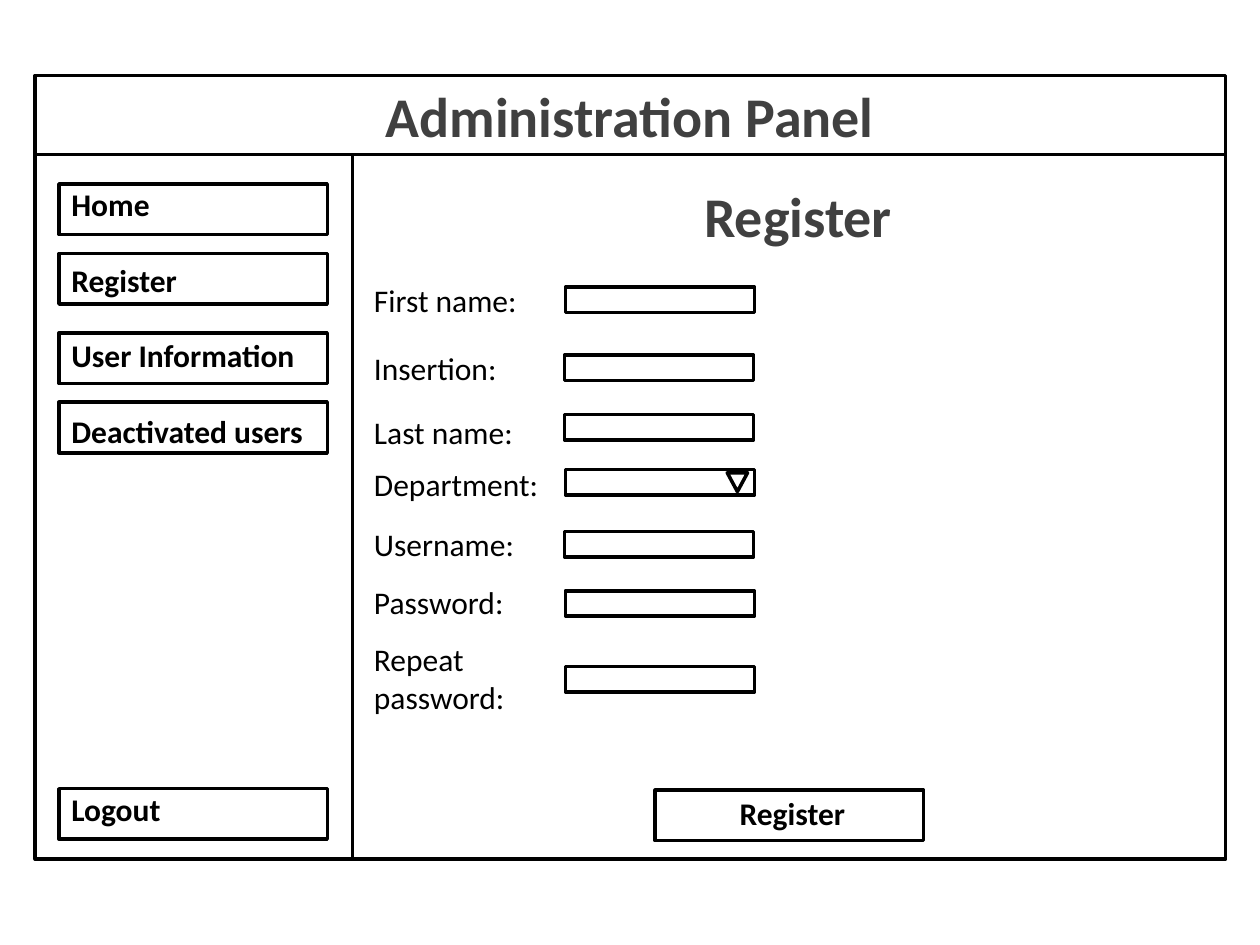
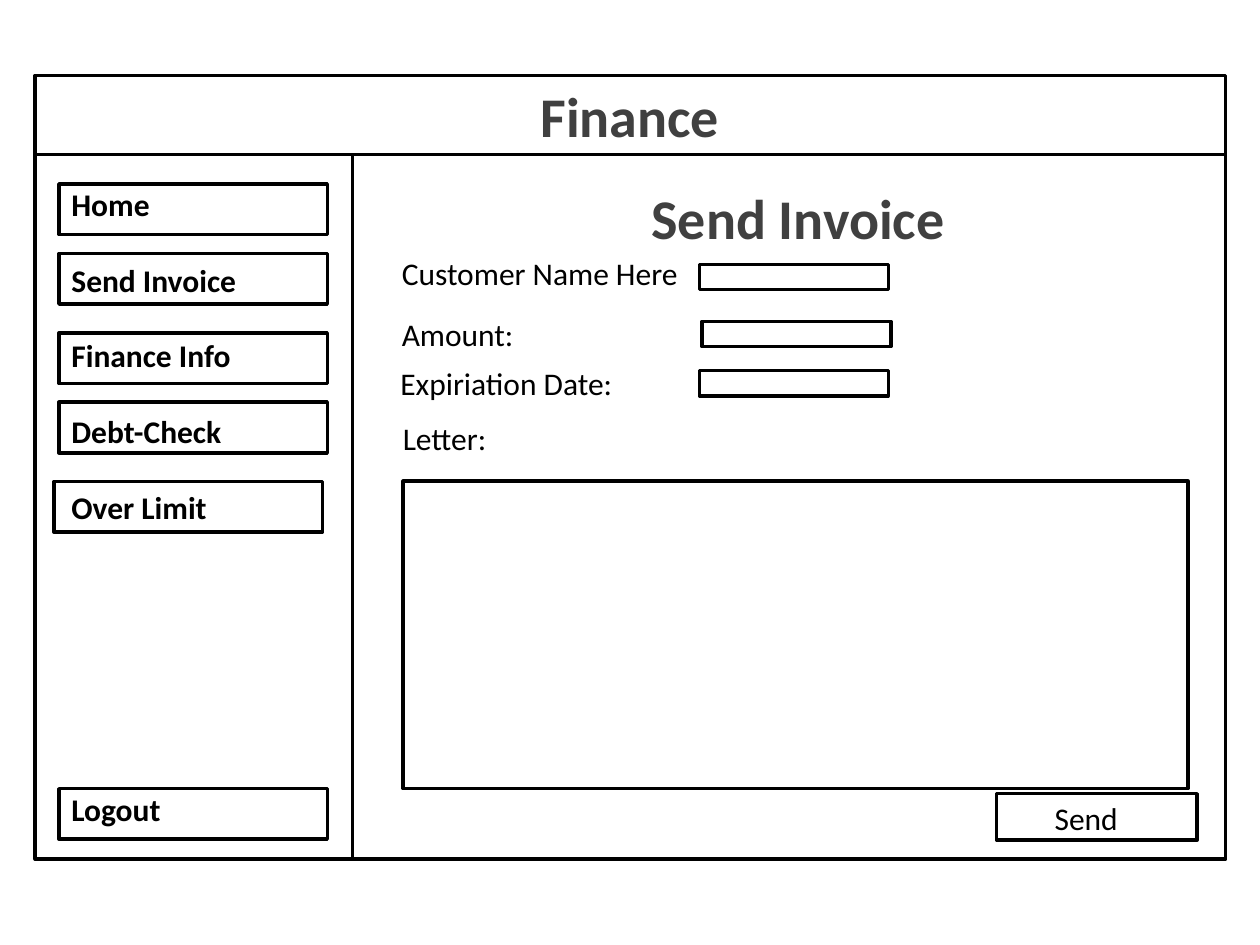
from dataclasses import dataclass
from typing import Optional

from pptx import Presentation
from pptx.dml.color import RGBColor
from pptx.enum.shapes import MSO_SHAPE as Shape
from pptx.enum.text import MSO_ANCHOR as Anchor, MSO_AUTO_SIZE as AutoSize, PP_ALIGN as Align
from pptx.util import Cm, Pt

COLORS = {"line": "000000", "text": "000000", "heading": "404040", "field": "FFFFFF"}
FONT = "Calibri"
LINE_PITCH = 21.6  # points per line of 18 pt text
LOGOUT_LINE = 16   # menu line that holds the last entry


@dataclass
class Box:
    left: float
    top: float
    width: float
    height: float


@dataclass
class Field:
    label: str
    left: float
    top: float
    input_left: Optional[float] = None
    input_top: float = 0


@dataclass
class Button:
    text: str
    box: Box
    text_left: float
    text_top: float
    bold: bool = False


@dataclass
class Screen:
    title: str
    menu: list[str]
    heading: str
    heading_top: float
    label_width: float
    fields: list[Field]
    button: Button


HEADER = Box(0.71, 1.52, 24, 1.6)
SIDEBAR = Box(0.71, 3.12, 6.4, 14.2)
CONTENT = Box(7.11, 3.12, 17.6, 14.2)
TITLE = Box(1.27, 1.52, 22.86, 1.8)
MENU = Box(1.19, 3.61, 5.41, 13.34)
LOGOUT = Box(1.19, 15.9, 5.41, 1.02)
LETTER = Box(8.13, 9.7, 15.82, 6.2)
ARROW = Box(14.66, 9.53, 0.41, 0.38)

REGISTER = Screen(
    "Administration Panel",
    ["Home", "Register", "User Information", "Deactivated users"],
    "Register", 3.53, 4.06,
    [
        Field("First name:", 7.29, 5.54, 11.4, 5.79),
        Field("Insertion:", 7.29, 6.91, 11.38, 7.16),
        Field("Last name:", 7.29, 8.2, 11.38, 8.36),
        Field("Department:", 7.29, 9.25, 11.4, 9.47),
        Field("Username:", 7.29, 10.46, 11.38, 10.72),
        Field("Password:", 7.29, 11.63, 11.4, 11.91),
        Field("Repeat password:", 7.29, 12.78, 11.4, 13.44),
    ],
    Button("Register", Box(13.21, 15.93, 5.41, 1.02), 14.66, 15.88, bold=True),
)
INVOICE = Screen(
    "Finance",
    ["Home", "Send Invoice", "Finance Info", "Debt-Check", "Over Limit"],
    "Send Invoice", 3.58, 6.2,
    [
        Field("Customer Name Here", 7.85, 5, 14.1, 5.33),
        Field("Amount:", 7.85, 6.22, 14.15, 6.48),
        Field("Expiriation Date:", 7.82, 7.21, 14.1, 7.47),
        Field("Letter:", 7.87, 8.33),
    ],
    Button("Send", Box(20.09, 16, 4.04, 0.94), 21.01, 15.98),
)


def place(box: Box) -> tuple:
    return Cm(box.left), Cm(box.top), Cm(box.width), Cm(box.height)


def add_outline(s, box: Box, kind=Shape.RECTANGLE, fill: Optional[str] = None):
    sp = s.shapes.add_shape(kind, *place(box))
    sp.shadow.inherit = False
    if fill:
        sp.fill.solid()
        sp.fill.fore_color.rgb = RGBColor.from_string(COLORS[fill])
    else:
        sp.fill.background()
    sp.line.color.rgb = RGBColor.from_string(COLORS["line"])
    sp.line.width = Pt(2)
    return sp


def write(p, text: str, size=18, color="text", bold=False, align=Align.LEFT, before=0) -> None:
    p.alignment = align
    p.space_before = Pt(before)
    r = p.add_run()
    r.text = text
    r.font.name = FONT
    r.font.size = Pt(size)
    r.font.bold = bold
    r.font.color.rgb = RGBColor.from_string(COLORS[color])


def add_text(s, box: Box, text: str, **fmt) -> None:
    tf = s.shapes.add_textbox(*place(box)).text_frame
    tf.word_wrap = True
    write(tf.paragraphs[0], text, **fmt)


def add_title(s, text: str) -> None:
    sp = s.shapes.title
    sp.left, sp.top, sp.width, sp.height = place(TITLE)
    tf = sp.text_frame
    tf.vertical_anchor = Anchor.TOP
    tf.auto_size = AutoSize.NONE
    write(tf.paragraphs[0], text, size=32, color="heading", bold=True, align=Align.CENTER)


def add_menu(s, entries: list[str]) -> None:
    # Entry boxes come in pairs; the fifth sits slightly to the left
    for i in range(len(entries)):
        left = 1.09 if i == 4 else MENU.left
        top = 3.71 + 3 * (i // 2) + 1.4 * (i % 2)
        add_outline(s, Box(left, top, MENU.width, 1.02))
    add_outline(s, LOGOUT)

    # One text column: entries on every second line, Logout at the bottom
    tf = s.shapes.add_textbox(*place(MENU)).text_frame
    tf.word_wrap = True
    for i, entry in enumerate(entries):
        p = tf.add_paragraph() if i else tf.paragraphs[0]
        write(p, entry, bold=True, before=LINE_PITCH if i else 0)
    skipped = LOGOUT_LINE - 2 * (len(entries) - 1) - 1
    write(tf.add_paragraph(), "Logout", bold=True, before=skipped * LINE_PITCH)


def add_screen(prs, screen: Screen):
    s = prs.slides.add_slide(prs.slide_layouts[5])

    # Frame, title and menu
    for box in (HEADER, SIDEBAR, CONTENT):
        add_outline(s, box)
    add_title(s, screen.title)
    add_menu(s, screen.menu)

    # Form
    add_text(s, Box(8.89, screen.heading_top, 14.4, 1.63), screen.heading,
             size=32, color="heading", bold=True, align=Align.CENTER)
    for field in screen.fields:
        add_text(s, Box(field.left, field.top, screen.label_width, 1.02), field.label)
        if field.input_left is not None:
            add_outline(s, Box(field.input_left, field.input_top, 3.81, 0.51), fill="field")

    # Button
    button = screen.button
    add_outline(s, button.box)
    add_text(s, Box(button.text_left, button.text_top, 3.2, 1.02), button.text, bold=button.bold)
    return s


def main() -> None:
    prs = Presentation()
    prs.slide_width, prs.slide_height = Cm(25.4), Cm(19.05)

    # Registration form with its drop-down arrow
    s = add_screen(prs, REGISTER)
    add_outline(s, ARROW, Shape.ISOSCELES_TRIANGLE).rotation = 180

    # Invoice form with its letter area
    s = add_screen(prs, INVOICE)
    add_outline(s, LETTER)

    prs.save("out.pptx")


if __name__ == "__main__":
    main()
